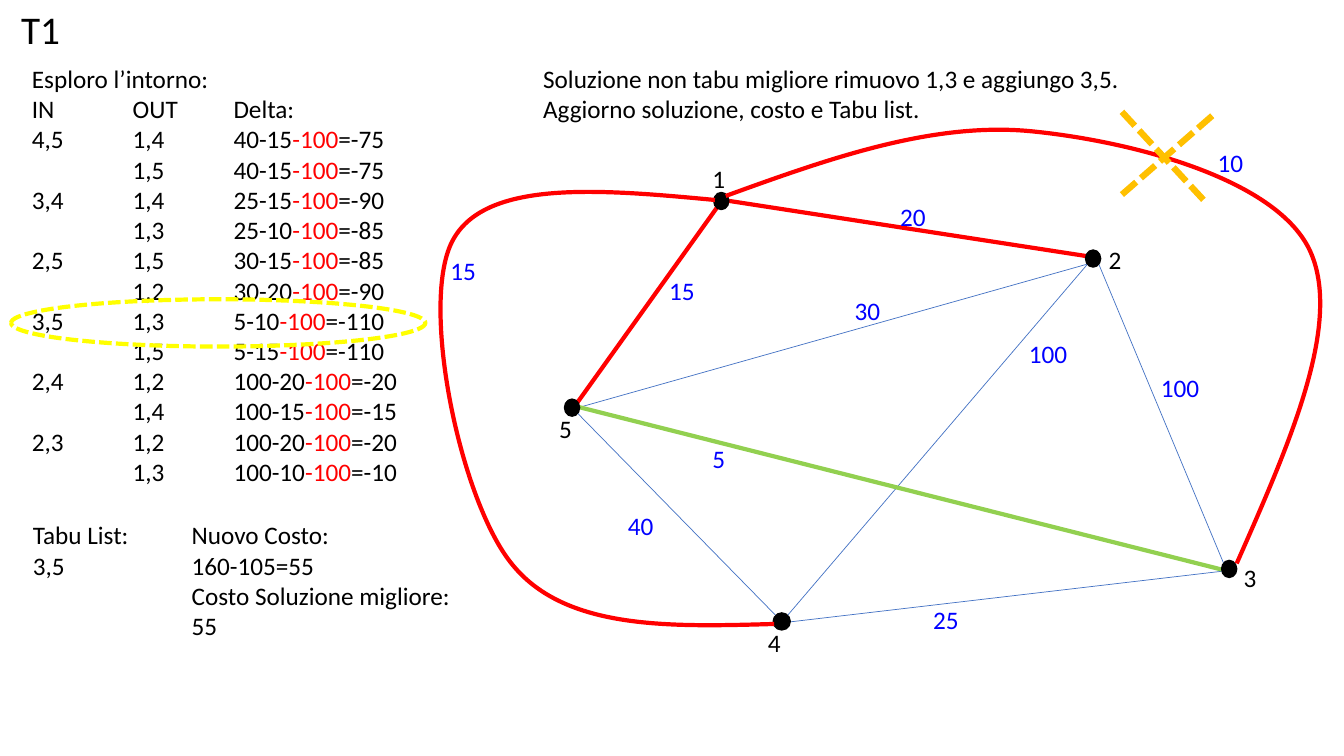
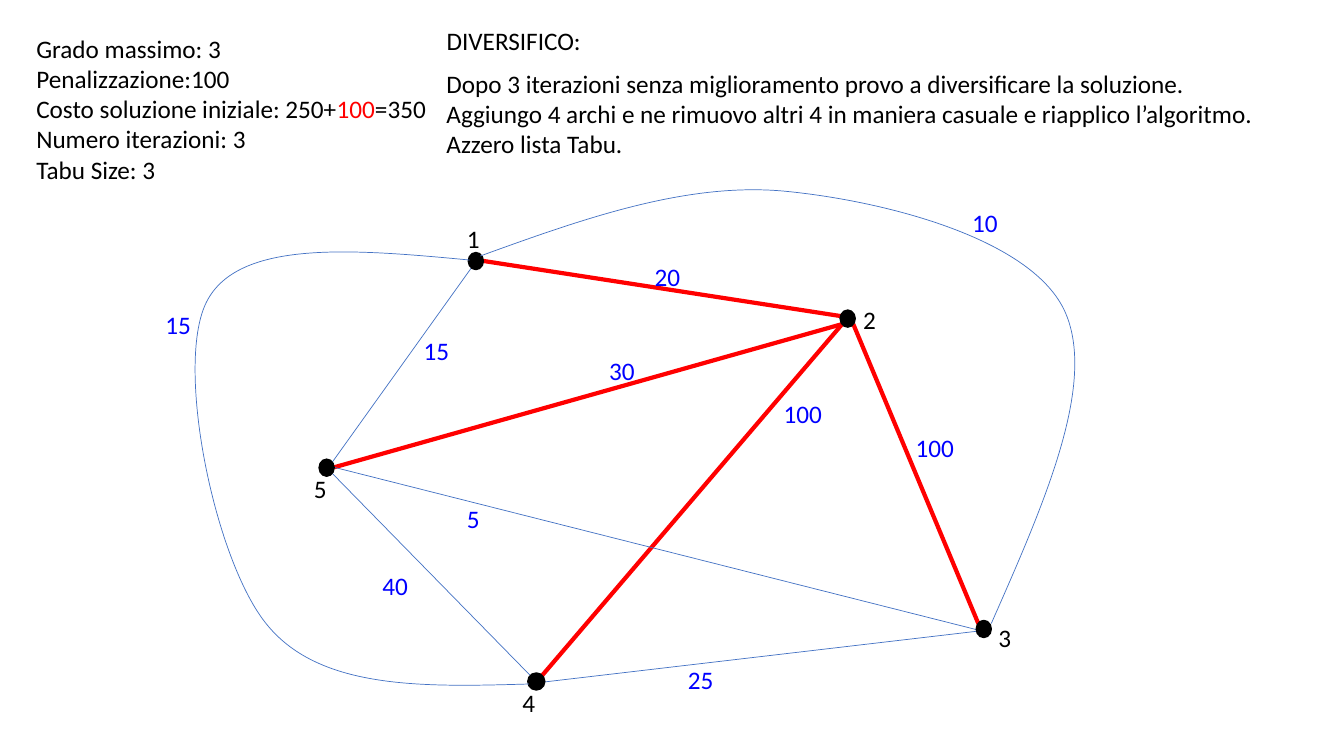
"""Build two slides on tabu search over a weighted five-node graph."""
from dataclasses import dataclass

from lxml import etree
from pptx import Presentation
from pptx.dml.color import RGBColor
from pptx.enum.dml import MSO_LINE
from pptx.enum.shapes import MSO_CONNECTOR, MSO_SHAPE
from pptx.enum.text import MSO_ANCHOR, MSO_AUTO_SIZE, PP_ALIGN
from pptx.oxml.ns import qn
from pptx.util import Pt

STRAIGHT = MSO_CONNECTOR.STRAIGHT
OVAL = MSO_SHAPE.OVAL
DASH = MSO_LINE.SQUARE_DOT
TOP = MSO_ANCHOR.TOP
FIT_SHAPE = MSO_AUTO_SIZE.SHAPE_TO_FIT_TEXT
LEFT = PP_ALIGN.LEFT

FONT = "Calibri"
BLACK, RED, COST_BLUE, EDGE_BLUE = "000000", "FF0000", "0000FF", "4472C4"
GREEN, YELLOW, ORANGE, WHITE = "92D050", "FFFF00", "FFC000", "FFFFFF"
THIN, THICK, CROSS_WIDTH = 0.5, 3, 4.5
TAB_WIDTH = 72
CURVE_STEPS = 24

Point = tuple[float, float]
Box = tuple[float, float, float, float]


@dataclass(frozen=True)
class Node:
    """A numbered node with its centre, width and label corner."""

    name: str
    centre: Point
    label: Point
    width: float = 10.8


@dataclass(frozen=True)
class Edge:
    """An edge with its cost, cost label corner and line or Bezier points."""

    name: str
    cost: str
    label: Point
    points: tuple[Point, ...]


NODES = (
    Node("1", (515.2, 143.6), (501.8, 113)),
    Node("2", (780.8, 184.7), (784.8, 171.2)),
    Node("3", (878, 406.4), (881.3, 398)),
    Node("4", (558.4, 443.9), (541.4, 444.8), 12.2),
    Node("5", (408.6, 291.2), (392.4, 291.6)),
)
LINES = (
    Edge("3-4", "25", (659.5, 428.4), ((564.5, 444.2), (883.4, 406.8))),
    Edge("1-5", "15", (470.9, 192.8), ((512.6, 147.6), (411.1, 289.4))),
    Edge("1-2", "20", (635.8, 140.4), ((514.8, 142.6), (780.5, 183.6))),
    Edge("2-3", "100", (822.2, 262.6), ((784.8, 188.6), (874.1, 402.5))),
    Edge("4-5", "40", (441.4, 360.7), ((412.6, 295.2), (554.4, 439.9))),
    Edge("2-5", "30", (603.4, 207.4), ((414, 290.9), (776.9, 188.6))),
    Edge("2-4", "100", (727.9, 238.3), ((562.3, 439.9), (776.9, 188.6))),
    Edge("3-5", "5", (501.8, 313.2), ((414, 290.9), (872.6, 406.8))),
)
CURVES = (
    Edge("1-4", "15", (314.6, 178.6), (
        (515.5, 143.3), (432, 135.4), (348.5, 127.4), (324, 170.6),
        (298.8, 213.8), (328.3, 358.6), (366.5, 403.9),
        (404.6, 450), (478.8, 447.8), (553, 445.7))),
    Edge("1-3", "10", (862.6, 101.5), (
        (518.4, 140), (592, 113.3), (664.8, 87.5), (734.4, 93.6),
        (803.6, 100), (910, 126.2), (935.3, 178.2),
        (959.8, 229.5), (921.6, 315.9), (883.4, 402.5))),
)
MOVES = (
    ("4,5", "1,4", "40-15", "-75"), ("", "1,5", "40-15", "-75"),
    ("3,4", "1,4", "25-15", "-90"), ("", "1,3", "25-10", "-85"),
    ("2,5", "1,5", "30-15", "-85"), ("", "1,2", "30-20", "-90"),
    ("3,5", "1,3", "5-10", "-110"), ("", "1,5", "5-15", "-110"),
    ("2,4", "1,2", "100-20", "-20"), ("", "1,4", "100-15", "-15"),
    ("2,3", "1,2", "100-20", "-20"), ("", "1,3", "100-10", "-10"),
)


def colour(value: str) -> RGBColor:
    """Turn a hex string into a colour."""
    return RGBColor.from_string(value)


def place(shape, box: Box) -> None:
    """Move and size a shape in points."""
    shape.left, shape.top, shape.width, shape.height = map(Pt, box)


def write_text(shape, text: str, *, size: float = 18, ink: str = BLACK,
               wrap: bool = False) -> None:
    """Write lines of text; spans between bars turn red."""
    frame = shape.text_frame
    frame.word_wrap = wrap
    frame.auto_size = FIT_SHAPE
    frame.vertical_anchor = TOP
    for index, line in enumerate(text.split("\n")):
        para = frame.add_paragraph() if index else frame.paragraphs[0]
        para.alignment = LEFT
        para.space_before = para.space_after = Pt(0)
        settings = para._p.get_or_add_pPr()
        settings.set("marL", "0")
        settings.set("indent", "0")
        settings.set("defTabSz", str(Pt(TAB_WIDTH)))
        etree.SubElement(settings, qn("a:buNone"))
        for order, part in enumerate(line.split("|")):
            span = para.add_run()
            span.text = part
            span.font.name = FONT
            span.font.size = Pt(size)
            span.font.color.rgb = colour(RED if order % 2 else ink)


def add_text(page, box: Box, text: str, **style) -> None:
    """Add a text box."""
    write_text(page.shapes.add_textbox(*map(Pt, box)), text, **style)


def add_label(page, corner: Point, text: str, ink: str) -> None:
    """Add a short number sized to its digits."""
    add_text(page, (*corner, 14.6 + 9.2 * len(text), 29), text, ink=ink)


def set_line(shape, ink: str, width: float, dashed: bool = False) -> None:
    """Format an outline or line."""
    shape.line.color.rgb = colour(ink)
    shape.line.width = Pt(width)
    if dashed:
        shape.line.dash_style = DASH


def add_line(page, start: Point, end: Point, ink: str, width: float,
             dashed: bool = False) -> None:
    """Add a straight line without shadow."""
    line = page.shapes.add_connector(STRAIGHT, *map(Pt, (*start, *end)))
    set_line(line, ink, width, dashed)
    etree.SubElement(line._element.spPr, qn("a:effectLst"))


def add_oval(page, box: Box, ink: str, width: float = 1,
             filled: bool = True, dashed: bool = False) -> None:
    """Add an ellipse, solid or only outlined."""
    oval = page.shapes.add_shape(OVAL, *map(Pt, box))
    oval.shadow.inherit = False
    if filled:
        oval.fill.solid()
        oval.fill.fore_color.rgb = colour(ink)
    else:
        oval.fill.background()
    set_line(oval, ink, width, dashed)


def bezier_bounds(points: tuple[Point, ...]) -> Box:
    """Find the box around a chain of cubic Bezier segments."""
    samples = [points[0]]
    for first in range(0, len(points) - 1, 3):
        segment = points[first:first + 4]
        for step in range(1, CURVE_STEPS + 1):
            t = step / CURVE_STEPS
            u = 1 - t
            weights = (u ** 3, 3 * u * u * t, 3 * u * t * t, t ** 3)
            samples.append((sum(w * p[0] for w, p in zip(weights, segment)),
                            sum(w * p[1] for w, p in zip(weights, segment))))
    across, down = zip(*samples)
    left, top = min(across), min(down)
    return left, top, max(across) - left, max(down) - top


def add_curve(page, points: tuple[Point, ...], ink: str, width: float) -> None:
    """Add an open unfilled curve of cubic Bezier segments."""
    knots = [(Pt(x), Pt(y)) for x, y in points[::3]]
    builder = page.shapes.build_freeform(*knots[0], scale=1.0)
    builder.add_line_segments(knots[1:], close=False)
    curve = builder.convert_to_shape()
    bounds = bezier_bounds(points)
    place(curve, bounds)
    outline = next(curve._element.iter(qn("a:path")))
    for child in list(outline):
        outline.remove(child)
    outline.set("w", str(curve.width))
    outline.set("h", str(curve.height))
    for index, (x, y) in enumerate(points):
        if index % 3 == 1 or index == 0:
            step = etree.SubElement(
                outline, qn("a:cubicBezTo" if index else "a:moveTo"))
        etree.SubElement(step, qn("a:pt"), x=str(Pt(x - bounds[0])),
                         y=str(Pt(y - bounds[1])))
    curve.shadow.inherit = False
    curve.fill.background()
    set_line(curve, ink, width)


def add_graph(page, shift: Point, inks: dict[str, str],
              moved_labels: dict[str, Point]) -> None:
    """Draw the shifted graph with its highlighted edges."""

    def shifted(point: Point) -> Point:
        """Apply the shift to a point."""
        return point[0] + shift[0], point[1] + shift[1]

    def pen(edge: Edge) -> tuple[str, float]:
        """Give the colour and width of an edge."""
        if edge.name in inks:
            return inks[edge.name], THICK
        return EDGE_BLUE, THIN

    for edge in LINES:
        add_line(page, *map(shifted, edge.points), *pen(edge))
    for node in NODES:
        x, y = shifted(node.centre)
        add_oval(page, (x - node.width / 2, y - 6.1, node.width, 12.2), BLACK)
    for edge in CURVES:
        add_curve(page, tuple(map(shifted, edge.points)), *pen(edge))
    add_oval(page, (*shifted((511.2, 138.2)), 5.8, 10.1), BLACK)
    for node in NODES:
        add_label(page, shifted(node.label), node.name, BLACK)
    for edge in LINES + CURVES:
        corner = moved_labels.get(edge.name, edge.label)
        add_label(page, shifted(corner), edge.cost, COST_BLUE)


def add_page(deck, title: str, title_box: Box, title_size: float):
    """Add a white slide with its title placed."""
    page = deck.slides.add_slide(deck.slide_layouts[1])
    page.background.fill.solid()
    page.background.fill.fore_color.rgb = colour(WHITE)
    place(page.shapes.title, title_box)
    write_text(page.shapes.title, title, size=title_size)
    return page


def add_body(page, box: Box, text: str, **style) -> None:
    """Fill the body placeholder."""
    body = page.placeholders[1]
    place(body, box)
    write_text(body, text, **style)


def build_exploration(deck) -> None:
    """Build the slide that explores the neighbourhood."""
    page = add_page(deck, "T1", (7.9, 0.3, 42.5, 41), 28)
    rows = [f"{entering}\t{leaving}\t{costs}|-100|={delta}"
            for entering, leaving, costs, delta in MOVES]
    add_body(page, (15.6, 41.5, 298.8, 312.5),
             "\n".join(["Esploro l’intorno:", "IN\tOUT\tDelta:", *rows]),
             wrap=True)
    add_graph(page, (0, 0), {**dict.fromkeys(("1-5", "1-2", "1-4", "1-3"), RED),
                             "3-5": GREEN}, {})
    add_text(page, (16.4, 367.6, 83.5, 51.1), "Tabu List:\n3,5")
    add_text(page, (129.8, 367.6, 200.9, 94.3),
             "Nuovo Costo:\n160-105=55\nCosto Soluzione migliore:\n55")
    add_text(page, (380.9, 41.5, 430.6, 51.1),
             "Soluzione non tabu migliore rimuovo 1,3 e aggiungo 3,5.\n"
             "Aggiorno soluzione, costo e Tabu list.", wrap=True)
    add_oval(page, (7.9, 213.8, 295.9, 33.8), YELLOW, THICK,
             filled=False, dashed=True)
    for start, end in (((801.4, 139), (868.3, 80.6)),
                       ((801.4, 79.9), (862, 145.3))):
        add_line(page, start, end, ORANGE, CROSS_WIDTH, dashed=True)


def build_diversification(deck) -> None:
    """Build the slide that diversifies the solution."""
    page = add_page(deck, "DIVERSIFICO:", (311.8, 14.4, 111.6, 28.8), 18)
    add_body(page, (18.7, 19.9, 295.9, 116.6),
             "Grado massimo: 3\nPenalizzazione:100\n"
             "Costo soluzione iniziale: 250+|100|=350\n"
             "Numero iterazioni: 3\nTabu Size: 3")
    add_graph(page, (-175.3, 42.9),
              dict.fromkeys(("1-2", "2-3", "2-5", "2-4"), RED),
              {"1-4": (286.3, 174.4)})
    add_text(page, (311.8, 45, 596.9, 72.7),
             "Dopo 3 iterazioni senza miglioramento provo a diversificare la soluzione.\n"
             "Aggiungo 4 archi e ne rimuovo altri 4 in maniera casuale e riapplico "
             "l’algoritmo.\nAzzero lista Tabu.")


def main() -> None:
    """Build and save the deck."""
    deck = Presentation()
    deck.slide_width, deck.slide_height = Pt(960), Pt(540)
    build_exploration(deck)
    build_diversification(deck)
    deck.save("out.pptx")


main()
